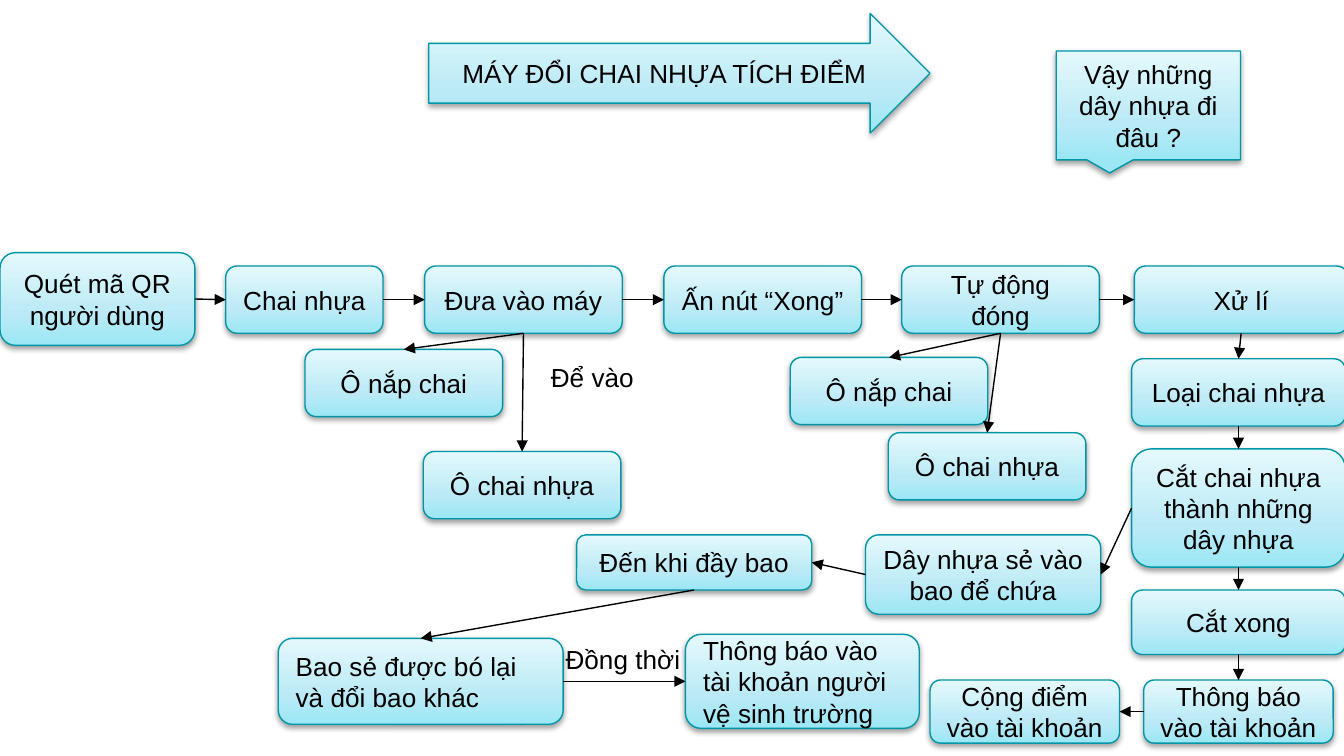
import copy
import lxml.etree
import pptx
import pptx.dml.color
import pptx.enum.shapes
import pptx.enum.text
import pptx.oxml
import pptx.oxml.ns
import pptx.util

Inches = pptx.util.Inches
Pt = pptx.util.Pt
RGBColor = pptx.dml.color.RGBColor
Kind = pptx.enum.shapes.MSO_SHAPE
Align = pptx.enum.text.PP_ALIGN
Anchor = pptx.enum.text.MSO_ANCHOR
qn = pptx.oxml.ns.qn

WIDTH = 10
HEIGHT = WIDTH * 9 / 16
BLACK = RGBColor(0x00, 0x00, 0x00)
TEAL = RGBColor(0x00, 0x96, 0xA7)
SHADES = [
    (0, RGBColor(0x9C, 0xE7, 0xF5)),
    (0.35, RGBColor(0xBB, 0xEA, 0xF6)),
    (1, RGBColor(0xE4, 0xF9, 0xFC)),
]
SHADOW = (
    '<a:outerShdw xmlns:a="http://schemas.openxmlformats.org/drawingml/2006/main"'
    ' blurRad="39370" dist="20320" dir="5400000" rotWithShape="0">'
    '<a:srgbClr val="000000"><a:alpha val="37000"/></a:srgbClr></a:outerShdw>'
)
TOP, LEFT, BOTTOM, RIGHT = range(4)


def write(shape, text, align=Align.CENTER, anchor=Anchor.MIDDLE, size=14, color=BLACK):
    frame = shape.text_frame
    frame.word_wrap = True
    frame.auto_size = pptx.enum.text.MSO_AUTO_SIZE.NONE
    frame.vertical_anchor = anchor
    frame.text = text
    para = frame.paragraphs[0]
    para.alignment = align
    font = para.runs[0].font
    font.name = "Arial"
    font.size = Pt(size)
    font.color.rgb = color


def shade(shape):
    fill = shape.fill
    fill.gradient()
    stops = shape.element.spPr.find(".//" + qn("a:gsLst"))
    stops.append(copy.deepcopy(stops[0]))
    for stop, (place, color) in zip(fill.gradient_stops, SHADES):
        stop.position = place
        stop.color.rgb = color
    fill.gradient_angle = 90


def box(slide, left, top, width, height, text="", kind=Kind.ROUNDED_RECTANGLE, align=Align.CENTER):
    shape = slide.shapes.add_shape(kind, Inches(left), Inches(top), Inches(width), Inches(height))
    shade(shape)
    shape.line.color.rgb = TEAL
    shape.line.width = Pt(0.75)
    shape.shadow.inherit = False
    glow = shape.element.spPr.find(qn("a:effectLst"))
    glow.append(pptx.oxml.parse_xml(SHADOW))
    if text:
        write(shape, text, align=align)
    return shape


def link(slide, start, end, out, into):
    line = slide.shapes.add_connector(pptx.enum.shapes.MSO_CONNECTOR.STRAIGHT, 0, 0, 0, 0)
    line.begin_connect(start, out)
    line.end_connect(end, into)
    line.line.color.rgb = BLACK
    line.line.width = Pt(0.75)
    tail = lxml.etree.SubElement(line.line._get_or_add_ln(), qn("a:tailEnd"))
    tail.set("type", "triangle")
    lxml.etree.SubElement(line.element.spPr, qn("a:effectLst"))


def chain(slide, steps, out, into):
    for start, end in zip(steps, steps[1:]):
        link(slide, start, end, out, into)


def label(slide, left, top, width, text):
    shape = slide.shapes.add_textbox(Inches(left), Inches(top), Inches(width), Inches(0.34))
    write(shape, text, align=Align.LEFT, anchor=Anchor.TOP)


def banner(slide, left, top, width, height):
    box(slide, left, top, width, height, kind=Kind.RIGHT_ARROW)
    title = slide.shapes.title
    title.left, title.top = Inches(left), Inches(top + height / 4)
    title.width, title.height = Inches(width - height / 4), Inches(height / 2)
    write(title, "MÁY ĐỔI CHAI NHỰA TÍCH ĐIỂM")
    tree = title.element.getparent()
    tree.append(title.element)


def query(slide, left, top, width, height):
    shape = box(slide, left, top, width, height, "Vậy những dây nhựa đi đâu ?",
                kind=Kind.RECTANGULAR_CALLOUT)
    shape.adjustments[0] = -0.21
    shape.adjustments[1] = 0.62


def main_row(slide, left, top):
    scan = box(slide, left, top - 0.1, 1.45, 0.69, "Quét mã QR người dùng")
    parts = [
        (1.68, 1.17, "Chai nhựa"),
        (3.16, 1.47, "Đưa vào máy"),
        (4.94, 1.47, "Ấn nút “Xong”"),
        (6.71, 1.47, "Tự động đóng"),
        (8.44, 1.59, "Xử lí"),
    ]
    steps = [scan] + [box(slide, left + x, top, w, 0.5, text) for x, w, text in parts]
    chain(slide, steps, RIGHT, LEFT)
    return steps


def bins(slide, left, top, right, down, parent):
    lid = box(slide, left, top, 1.47, 0.5, "Ô nắp chai")
    bottle = box(slide, left + right, top + down, 1.47, 0.5, "Ô chai nhựa")
    for bin in (lid, bottle):
        link(slide, parent, bin, BOTTOM, TOP)


def process(slide, left, top, parent):
    parts = [
        (0, 0, 1.59, 0.5, "Loại chai nhựa"),
        (0, 0.67, 1.59, 0.88, "Cắt chai nhựa thành những dây nhựa"),
        (0, 1.72, 1.59, 0.48, "Cắt xong"),
        (0.09, 2.39, 1.41, 0.47, "Thông báo vào tài khoản"),
    ]
    steps = [box(slide, left + x, top + y, w, h, text) for x, y, w, h, text in parts]
    chain(slide, [parent] + steps, BOTTOM, TOP)
    points = box(slide, left - 1.5, top + 2.39, 1.41, 0.47, "Cộng điểm vào tài khoản")
    link(slide, steps[-1], points, LEFT, RIGHT)
    return steps[1]


def bagging(slide, left, top, parent):
    store = box(slide, left + 4.37, top, 1.75, 0.59, "Dây nhựa sẻ vào bao để chứa")
    full = box(slide, left + 2.22, top, 1.75, 0.41, "Đến khi đầy bao")
    tie = box(slide, left, top + 0.77, 2.12, 0.64, "Bao sẻ được bó lại và đổi bao khác",
              align=Align.LEFT)
    alert = box(slide, left + 3.03, top + 0.74, 1.74, 0.7,
                "Thông báo vào tài khoản người vệ sinh trường", align=Align.LEFT)
    chain(slide, [parent, store, full], LEFT, RIGHT)
    link(slide, full, tie, BOTTOM, TOP)
    link(slide, tie, alert, RIGHT, LEFT)
    label(slide, left + 2.04, top + 0.76, 1.06, "Đồng thời")


def main():
    deck = pptx.Presentation()
    deck.slide_width = Inches(WIDTH)
    deck.slide_height = Inches(HEIGHT)
    slide = deck.slides.add_slide(deck.slide_layouts[5])
    banner(slide, 3.19, 0.1, 3.73, 0.89)
    query(slide, 7.86, 0.38, 1.37, 0.81)
    steps = main_row(slide, 0, 1.98)
    bins(slide, 2.27, 2.6, 0.88, 0.76, steps[2])
    label(slide, 4, 2.64, 0.82, "Để vào")
    bins(slide, 5.88, 2.66, 0.73, 0.56, steps[4])
    cut = process(slide, 8.42, 2.67, steps[5])
    bagging(slide, 2.07, 3.98, cut)
    deck.save("out.pptx")


if __name__ == "__main__":
    main()
